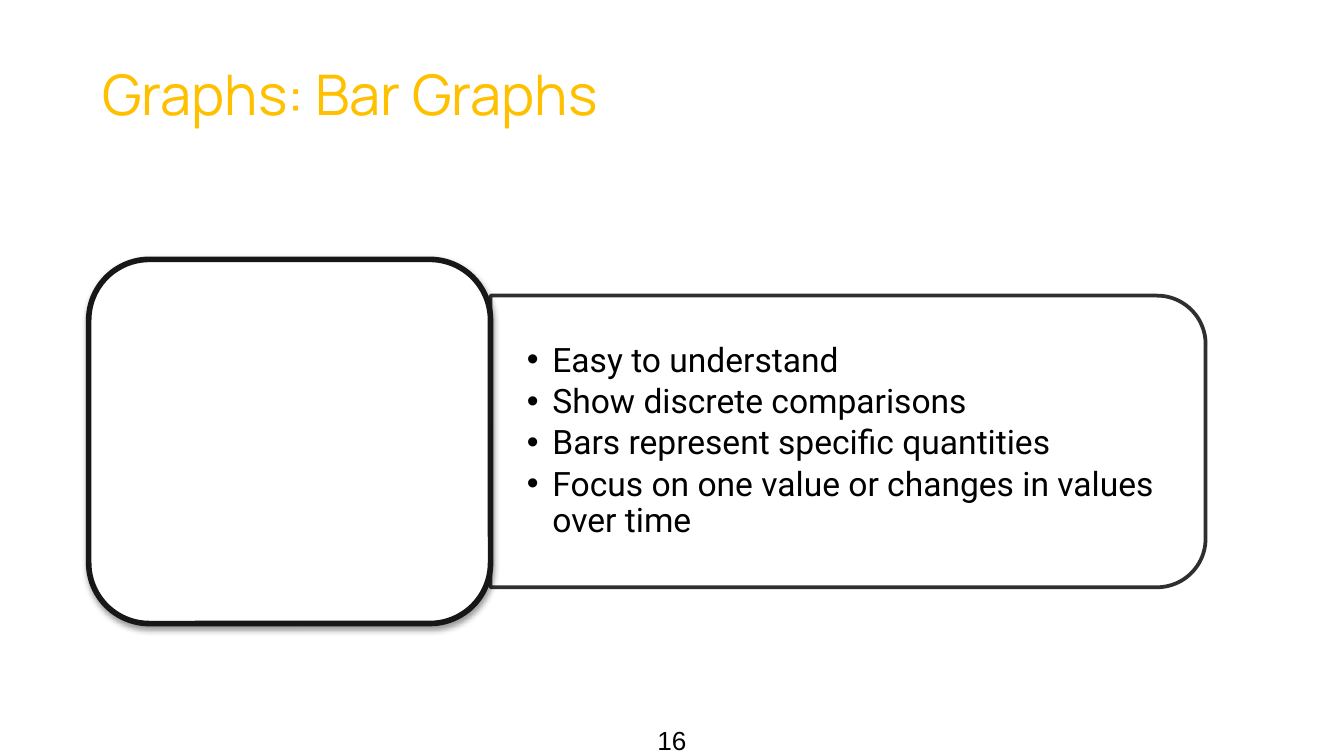
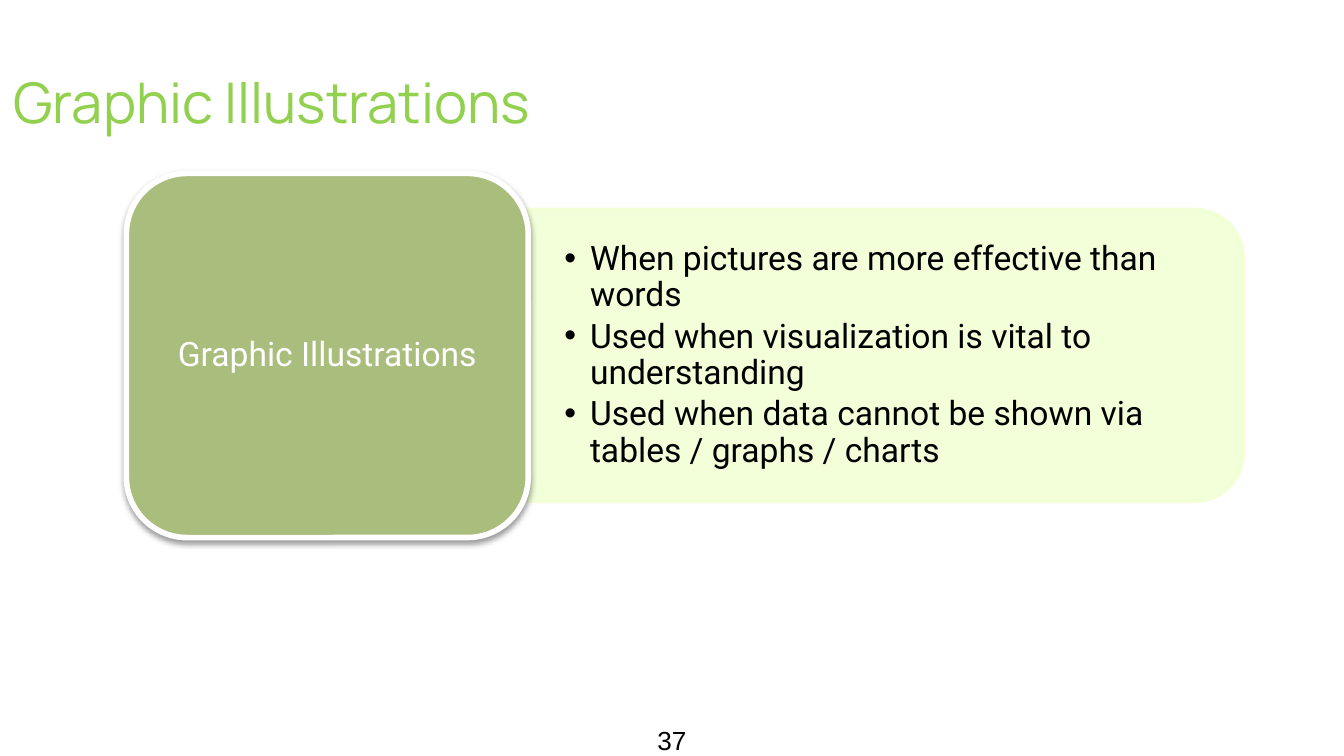
from lxml.etree import SubElement
from pptx import Presentation
from pptx.dml.color import RGBColor
from pptx.enum.shapes import MSO_SHAPE as Shape
from pptx.enum.text import MSO_ANCHOR as Anchor, MSO_AUTO_SIZE as AutoSize, PP_ALIGN as Align
from pptx.oxml.ns import qn
from pptx.util import Inches, Pt

BLACK, WHITE = "000000", "FFFFFF"
CARD_WIDTH, CARD_HEIGHT = 2.99, 2.71
PANEL_WIDTH, PANEL_HEIGHT = 5.32, 2.17
LIST_WIDTH, LIST_HEIGHT = 5.21, 1.95

SLIDES = [
    dict(title="Graphs: Bar Graphs", title_box=(0.66, 0.34, 8.67, 0.94), title_color="FFC000",
         number="16", card_at=(0.66, 1.93), card_fill=WHITE, card_line="171717", label="",
         panel_fill=WHITE, panel_line="191919",
         points=["Easy to understand",
                 "Show discrete comparisons",
                 "Bars represent specific quantities",
                 "Focus on one value or changes in values over time"]),
    dict(title="Graphic Illustrations", title_box=(0, 0.4, 10.01, 0.94), title_color="92D050",
         number="37", card_at=(0.94, 1.29), card_fill="A9BD7D", card_line=WHITE,
         label="Graphic Illustrations",
         panel_fill="F1FFD5", panel_line="F1FFD5",
         points=["When pictures are more effective than words",
                 "Used when visualization is vital to understanding",
                 "Used when data cannot be shown via tables / graphs / charts"]),
]


def write(shape, lines, *, font, size, color, align=Align.LEFT, anchor=Anchor.TOP,
          insets=(0.1, 0.1), spacing=1.0, after=0, bullet=None):
    """Fill a shape with one paragraph per line, all in the same format."""
    frame = shape.text_frame
    frame.word_wrap = True
    frame.auto_size = AutoSize.NONE
    frame.vertical_anchor = anchor
    frame.margin_left = frame.margin_right = Inches(insets[0])
    frame.margin_top = frame.margin_bottom = Inches(insets[1])
    frame.text = "\n".join(lines)
    for paragraph in frame.paragraphs:
        paragraph.alignment = align
        paragraph.line_spacing = spacing
        paragraph.space_before = Pt(0)
        paragraph.space_after = Pt(after)
        if bullet:
            paragraph.level = 1
            properties = paragraph._p.get_or_add_pPr()
            properties.set("marL", str(Inches(0.19)))
            properties.set("indent", str(-Inches(0.19)))
            bullet_color = SubElement(properties, qn("a:buClr"))
            SubElement(bullet_color, qn("a:srgbClr"), val=color)
            SubElement(properties, qn("a:buFont"), typeface="Arial")
            SubElement(properties, qn("a:buChar"), char=bullet)
        for run in paragraph.runs:
            run.font.name = font
            run.font.size = Pt(size)
            run.font.color.rgb = RGBColor.from_string(color)


def add_box(slide, kind, box, fill, line, width):
    """Add a filled and outlined preset shape without a shadow."""
    shape = slide.shapes.add_shape(kind, *map(Inches, box))
    shape.shadow.inherit = False
    shape.fill.solid()
    shape.fill.fore_color.rgb = RGBColor.from_string(fill)
    shape.line.color.rgb = RGBColor.from_string(line)
    shape.line.width = Pt(width)
    return shape


# Widescreen format, 16:9
presentation = Presentation()
presentation.slide_width = Inches(10)
presentation.slide_height = Inches(10) * 9 // 16

for content in SLIDES:
    slide = presentation.slides.add_slide(presentation.slide_layouts[1])
    left, top = content["card_at"]
    right, middle = left + CARD_WIDTH, top + CARD_HEIGHT / 2

    # Title
    title = slide.shapes.title
    title.left, title.top, title.width, title.height = map(Inches, content["title_box"])
    write(title, [content["title"]], font="Manrope", size=30, color=content["title_color"])

    # Page number
    number = slide.shapes.add_textbox(Inches(4.7), Inches(5.29), Inches(0.6), Inches(0.34))
    write(number, [content["number"]], font="Arial", size=14, color=BLACK, align=Align.CENTER)

    # Panel: a tall shape turned so that its rounded end points right
    panel_box = (right + (PANEL_WIDTH - PANEL_HEIGHT) / 2, middle - PANEL_WIDTH / 2,
                 PANEL_HEIGHT, PANEL_WIDTH)
    panel = add_box(slide, Shape.ROUND_2_SAME_RECTANGLE, panel_box,
                    content["panel_fill"], content["panel_line"], 2)
    panel.rotation = 90
    for color in panel.element.spPr.iter(qn("a:srgbClr")):
        SubElement(color, qn("a:alpha"), val="90000")

    # List, placed in front of the panel
    points = slide.placeholders[1]
    points.left, points.top = Inches(right), Inches(middle - LIST_HEIGHT / 2)
    points.width, points.height = Inches(LIST_WIDTH), Inches(LIST_HEIGHT)
    write(points, content["points"], font="Roboto", size=18, color=BLACK, anchor=Anchor.MIDDLE,
          insets=(0.27, 0.14), spacing=0.9, after=2.7, bullet="•")
    panel.element.addnext(points.element)

    # Card with a soft shadow below it
    card = add_box(slide, Shape.ROUNDED_RECTANGLE, (left, top, CARD_WIDTH, CARD_HEIGHT),
                   content["card_fill"], content["card_line"], 3)
    effects = card.element.spPr.find(qn("a:effectLst"))
    shadow = SubElement(effects, qn("a:outerShdw"), blurRad=str(Pt(3.1)), dist=str(Pt(1.6)),
                        dir="5400000", rotWithShape="0")
    shadow_color = SubElement(shadow, qn("a:srgbClr"), val=BLACK)
    SubElement(shadow_color, qn("a:alpha"), val="38000")
    if content["label"]:
        write(card, [content["label"]], font="Roboto", size=18, color=WHITE, align=Align.CENTER,
              anchor=Anchor.MIDDLE, insets=(0.07, 0.04), spacing=0.9, after=6.3)

presentation.save("out.pptx")
